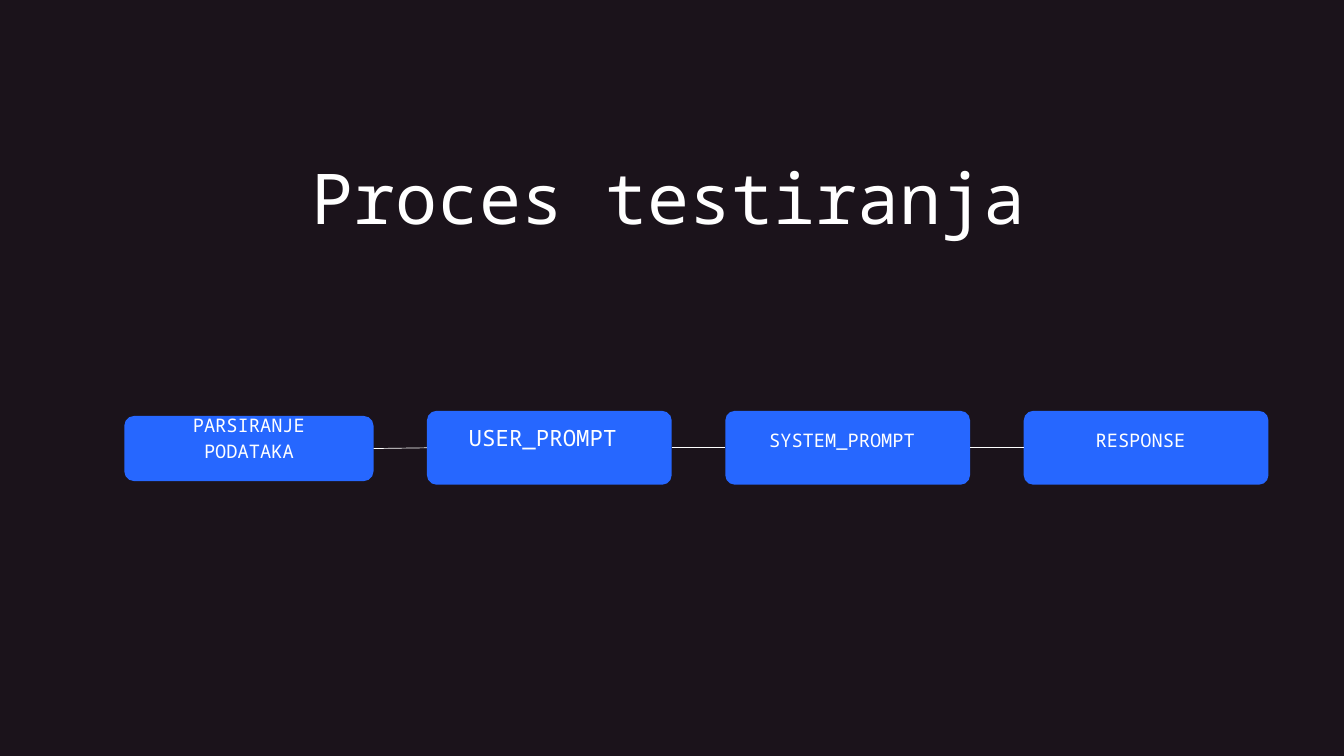
from itertools import pairwise

from lxml.etree import SubElement
from pptx import Presentation
from pptx.dml.color import RGBColor
from pptx.enum.shapes import MSO_CONNECTOR, MSO_SHAPE
from pptx.enum.text import MSO_ANCHOR, PP_ALIGN
from pptx.oxml.ns import qn
from pptx.util import Pt

BACKGROUND = RGBColor(0x1B, 0x13, 0x1B)
BLUE = RGBColor(0x26, 0x67, 0xFF)
WHITE = RGBColor(0xFF, 0xFF, 0xFF)
FONT = "Noto Sans Mono"

CORNER_RADIUS = 10.4
LABEL_RISE = 27.5
LABEL_INSET = 20
PROMPT_LEFT, PROMPT_PITCH = 457.4, 319.7
PROMPT_TOP, PROMPT_WIDTH, PROMPT_HEIGHT = 440.2, 262.3, 79.2


def add_text(slide, text, left, top, width, height, size, line_spacing,
             inset=0, anchor=MSO_ANCHOR.TOP):
    box = slide.shapes.add_textbox(Pt(left), Pt(top), Pt(width), Pt(height))
    frame = box.text_frame
    frame.word_wrap = True
    frame.vertical_anchor = anchor
    frame.margin_left = frame.margin_right = Pt(inset)
    frame.margin_top = frame.margin_bottom = Pt(inset)
    frame.text = text
    paragraph = frame.paragraphs[0]
    paragraph.alignment = PP_ALIGN.CENTER
    paragraph.line_spacing = Pt(line_spacing)
    font = paragraph.runs[0].font
    font.name = FONT
    font.size = Pt(size)
    font.color.rgb = WHITE


def add_step(slide, text, left, top, width, height, size=20, line_spacing=35):
    """Draw a rounded box whose label is centred a little above its middle."""
    box = slide.shapes.add_shape(MSO_SHAPE.ROUNDED_RECTANGLE,
                                 Pt(left), Pt(top), Pt(width), Pt(height))
    box.adjustments[0] = CORNER_RADIUS / height
    box.shadow.inherit = False
    box.fill.solid()
    box.fill.fore_color.rgb = BLUE
    box.line.fill.background()
    add_text(slide, text, left, top - LABEL_RISE, width, height + LABEL_RISE,
             size, line_spacing, LABEL_INSET, MSO_ANCHOR.MIDDLE)
    return box


def connect_steps(slide, source, target):
    connector = slide.shapes.add_connector(MSO_CONNECTOR.STRAIGHT, 0, 0, 0, 0)
    connector.begin_connect(source, 3)
    connector.end_connect(target, 1)
    connector.line.color.rgb = WHITE
    connector.line.width = Pt(0.75)
    SubElement(connector._element.spPr, qn("a:effectLst"))


def main():
    presentation = Presentation()
    presentation.slide_width = Pt(1440)
    presentation.slide_height = Pt(810)
    slide = presentation.slides.add_slide(presentation.slide_layouts[6])
    slide.background.fill.solid()
    slide.background.fill.fore_color.rgb = BACKGROUND

    add_text(slide, "Proces testiranja", 266.4, 172.8, 900, 92.9, 75, 82.5)

    steps = [add_step(slide, "PARSIRANJE PODATAKA", 133.2, 445.7, 267, 69.8,
                      line_spacing=28)]
    # The trailing spaces set the centred labels slightly to the left.
    prompts = [("USER_PROMPT ", 24), ("SYSTEM_PROMPT ", 20), ("RESPONSE ", 20)]
    for index, (text, size) in enumerate(prompts):
        steps.append(add_step(slide, text, PROMPT_LEFT + index * PROMPT_PITCH,
                              PROMPT_TOP, PROMPT_WIDTH, PROMPT_HEIGHT, size))

    for source, target in pairwise(steps):
        connect_steps(slide, source, target)

    presentation.save("out.pptx")


if __name__ == "__main__":
    main()
